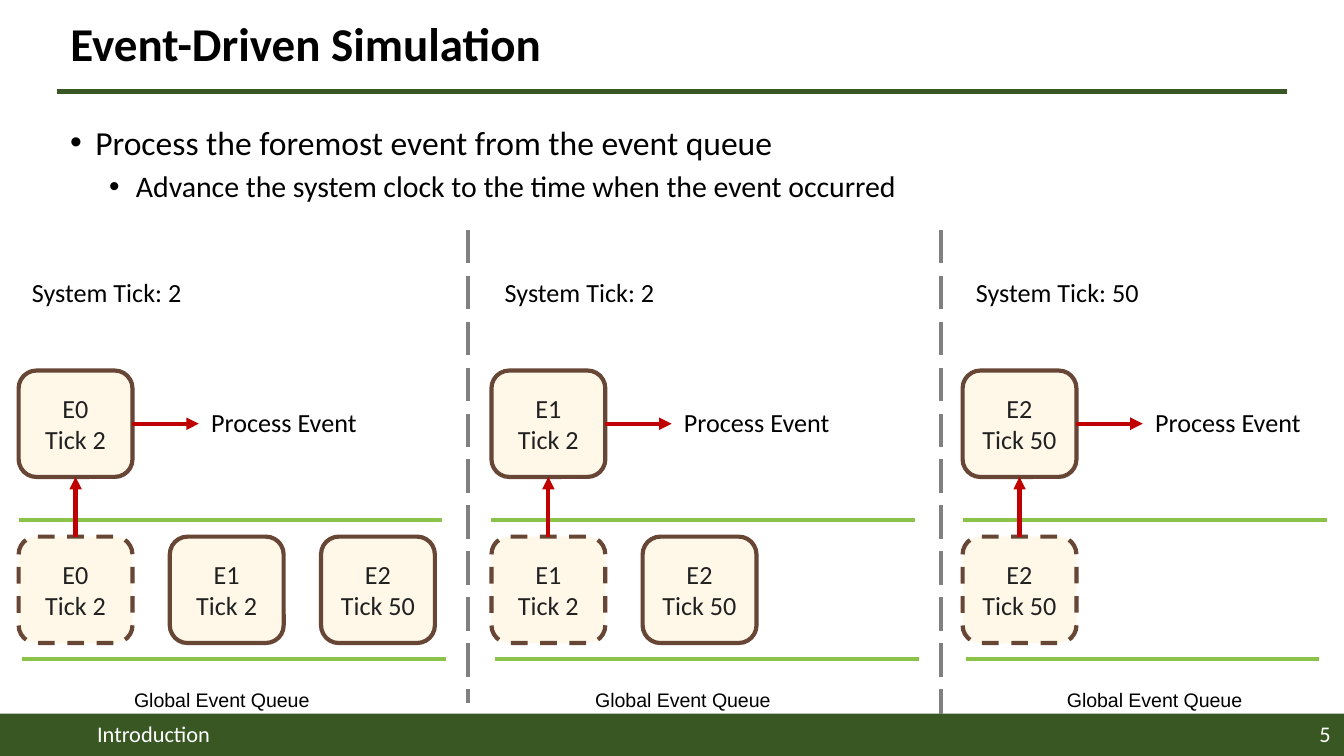
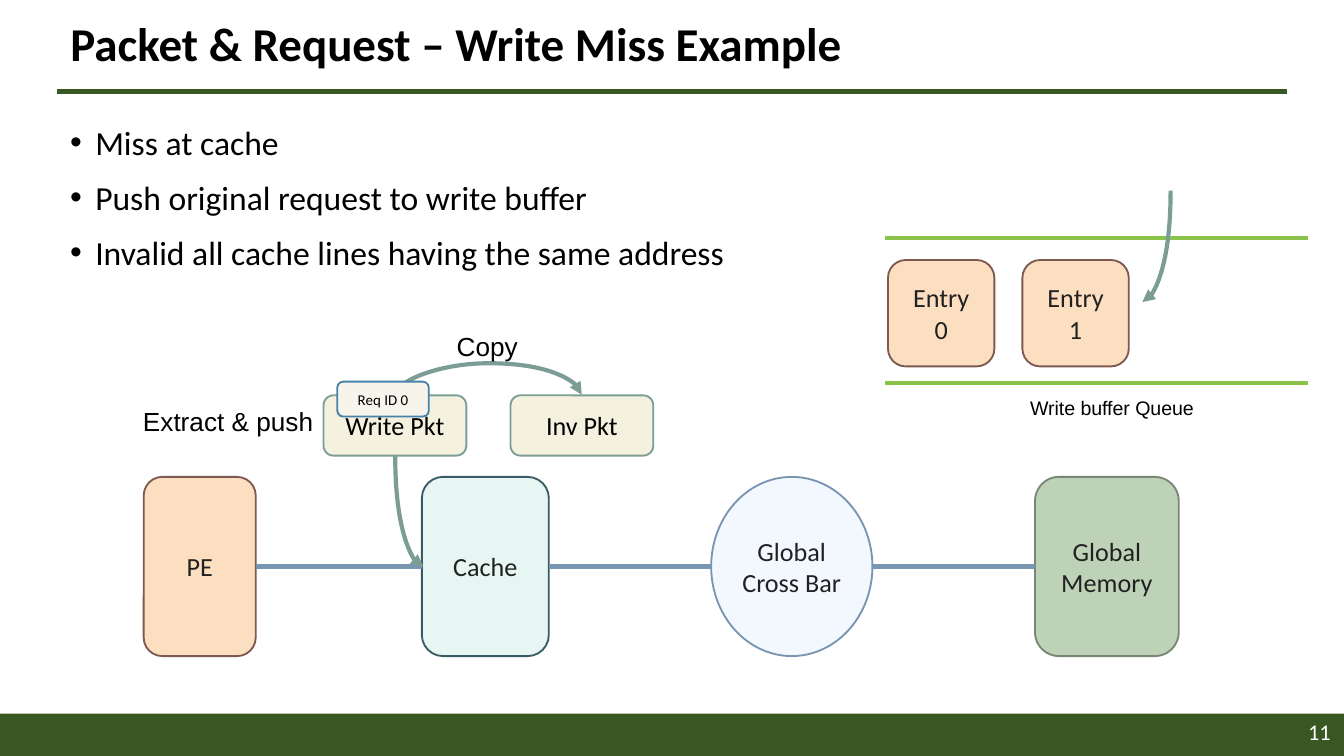
import pptx
import pptx.util
import pptx.dml.color
import pptx.enum.dml
import pptx.enum.shapes
import pptx.enum.text
import pptx.oxml
import pptx.oxml.ns

Pt = pptx.util.Pt
RGB = pptx.dml.color.RGBColor
qn = pptx.oxml.ns.qn
SHAPE = pptx.enum.shapes.MSO_SHAPE
CONN = pptx.enum.shapes.MSO_CONNECTOR
DASH = pptx.enum.dml.MSO_LINE
ALIGN = pptx.enum.text.PP_ALIGN
ANCHOR = pptx.enum.text.MSO_ANCHOR
FIT = pptx.enum.text.MSO_AUTO_SIZE
XMLNS = 'xmlns:a="http://schemas.openxmlformats.org/drawingml/2006/main"'

BLACK = RGB(0x00, 0x00, 0x00)
WHITE = RGB(0xFF, 0xFF, 0xFF)
INK = RGB(0x21, 0x21, 0x21)
FOREST = RGB(0x38, 0x57, 0x23)
LIME = RGB(0x8B, 0xC3, 0x4A)
CREAM = RGB(0xFF, 0xF8, 0xE8)
BROWN = RGB(0x67, 0x46, 0x36)
RED = RGB(0xC0, 0x00, 0x00)
GREY = RGB(0x80, 0x80, 0x80)
PEACH = RGB(0xFC, 0xDE, 0xC0)
COCOA = RGB(0x7D, 0x5A, 0x50)
MINT = RGB(0xE7, 0xF6, 0xF2)
TEAL = RGB(0x39, 0x5B, 0x64)
SAGE = RGB(0xBD, 0xD2, 0xB6)
MOSS = RGB(0x79, 0x87, 0x77)
ICE = RGB(0xF3, 0xF8, 0xFF)
STEEL = RGB(0x78, 0x95, 0xB2)
IVORY = RGB(0xF4, 0xF2, 0xDE)
JADE = RGB(0x7C, 0x9D, 0x96)
PEARL = RGB(0xF6, 0xF4, 0xEB)
BLUE = RGB(0x46, 0x82, 0xA9)


def put(slide, box, text="", kind=None, fill=None, edge=None, width=1, dash=None,
        size=14, font="Calibri", color=BLACK, align=None, anchor=ANCHOR.TOP):
    """Add a text box, or a filled shape with centred text when kind is given."""
    place = [Pt(n) for n in box]
    if kind is None:
        shape = slide.shapes.add_textbox(*place)
    else:
        shape = slide.shapes.add_shape(kind, *place)
        shape.shadow.inherit = False
        shape.fill.solid()
        shape.fill.fore_color.rgb = fill
        if edge is None:
            shape.line.fill.background()
        else:
            shape.line.color.rgb = edge
            shape.line.width = Pt(width)
            shape.line.dash_style = dash
        align, anchor = ALIGN.CENTER, ANCHOR.MIDDLE
    frame = shape.text_frame
    frame.word_wrap = True
    frame.vertical_anchor = anchor
    if kind is not None:
        frame.margin_left = frame.margin_right = Pt(3.6)
    frame.text = text
    for para in frame.paragraphs:
        para.alignment = align
        for run in para.runs:
            run.font.name, run.font.size = font, Pt(size)
            run.font.color.rgb = color
    return shape


def link(slide, ends, color, dash=None, arrow=False, kind=CONN.STRAIGHT):
    """Add a line between two points, given as x1, y1, x2, y2."""
    line = slide.shapes.add_connector(kind, *[Pt(n) for n in ends])
    line.line.color.rgb = color
    line.line.width = Pt(2.25)
    line.line.dash_style = dash
    props = line.element.spPr
    if arrow:
        props.find(qn("a:ln")).append(
            pptx.oxml.parse_xml(f'<a:tailEnd {XMLNS} type="triangle"/>'))
    props.append(pptx.oxml.parse_xml(f"<a:effectLst {XMLNS}/>"))
    return line


deck = pptx.Presentation()
deck.slide_width, deck.slide_height = Pt(720), Pt(405)
layout = deck.slide_layouts[5]

# Title, bullets (level, text) and page number of each slide
pages = [
    ("Event-Driven Simulation", 257, "5", 382.3, [
        (0, "Process the foremost event from the event queue"),
        (1, "Advance the system clock to the time when the event occurred")]),
    ("Packet & Request – Write Miss Example", 89, "11", 380.9, [
        (0, "Miss at cache"),
        (0, "Push original request to write buffer"),
        (0, "Invalid all cache lines having the same address")]),
]
LEVELS = [(13.5, -13.5, 18, 10), (35.3, -14.4, 16, 5)]  # margin, indent, size, gap

slides = []
for head, tall, page, top, points in pages:
    slide = deck.slides.add_slide(layout)
    if not slides:
        # The band and rule go on the layout, so every slide shows them
        band = put(slide, (0, 382.3, 720, 22.7), kind=SHAPE.RECTANGLE, fill=FOREST)
        rule = link(slide, (30.5, 49, 689.5, 49), FOREST)
        for part in (rule, band):
            layout.shapes.element.insert(2, part.element)
    slides.append(slide)

    title = slide.shapes.title
    title.left, title.top, title.width, title.height = Pt(30.5), Pt(7.7), Pt(659), Pt(34.5)
    frame = title.text_frame
    frame.text = head
    frame.auto_size = FIT.NONE
    frame.vertical_anchor = ANCHOR.MIDDLE
    para = frame.paragraphs[0]
    para.alignment, para.line_spacing = ALIGN.LEFT, 0.9
    font = para.runs[0].font
    font.name, font.size, font.bold = "Calibri", Pt(25.2), True
    font.color.rgb = BLACK

    body = put(slide, (30.5, 64, 659, tall), "\n".join(text for _, text in points))
    for order, (level, _) in enumerate(points):
        margin, indent, size, gap = LEVELS[level]
        para = body.text_frame.paragraphs[order]
        para.level, para.line_spacing = level, 0.9
        para.space_before = Pt(gap if order else 0)
        props = para._p.get_or_add_pPr()
        props.set("marL", str(Pt(margin)))
        props.set("indent", str(Pt(indent)))
        for mark in ('buFont {} typeface="Arial"', 'buChar {} char="•"'):
            props.append(pptx.oxml.parse_xml(f"<a:{mark.format(XMLNS)}/>"))
        para.runs[0].font.size = Pt(size)

    put(slide, (558, top, 162, 21.6), page, size=12, color=WHITE,
        align=ALIGN.RIGHT, anchor=ANCHOR.MIDDLE)

# Slide 1: three states of the event queue
slide = slides[0]
put(slide, (30.5, 382.3, 103.7, 21.6), "Introduction", size=12, color=WHITE,
    align=ALIGN.CENTER, anchor=ANCHOR.MIDDLE)
for x, low in ((250.6, 376.6), (504, 382.3)):
    link(slide, (x, 123, x, low), GREY, dash=DASH.LONG_DASH)

events = ["E0\nTick 2", "E1\nTick 2", "E2\nTick 50"]
card = dict(kind=SHAPE.ROUNDED_RECTANGLE, fill=CREAM, edge=BROWN, width=2.25, color=INK)
# Left edge, clock, rail lengths, left edge of the queue label
states = [(10, "2", 227, 227, 64.8), (263.3, "2", 227, 227, 311.8),
          (515.7, "50", 195, 189, 564.5)]
for first, (x, tick, upper, lower, label) in enumerate(states):
    link(slide, (x, 278.5, x + upper, 278.5), LIME)
    link(slide, (x + 1.8, 353, x + 1.8 + lower, 353), LIME)
    put(slide, (label, 365, 117, 20), "Global Event Queue", size=10.5, font="Arial")
    put(slide, (x, 144.5, 103, 24.2), f"System Tick: {tick}")
    put(slide, (x + 96, 214, 95, 24.2), "Process Event")
    active = put(slide, (x, 198.5, 61, 57), events[first], **card)
    queue = [put(slide, (x + 81 * slot, 287.5, 61, 57), text,
                 dash=None if slot else DASH.DASH, **card)
             for slot, text in enumerate(events[first:])]
    rise = link(slide, (x + 30.5, 287.5, x + 30.5, 255.5), RED, arrow=True)
    rise.begin_connect(queue[0], 0)
    rise.end_connect(active, 2)
    leave = link(slide, (x + 61, 227, x + 96.5, 227), RED, arrow=True)
    leave.begin_connect(active, 3)

# Slide 2: hardware chain
slide = slides[1]
ROUND = SHAPE.ROUNDED_RECTANGLE
chain = [("PE", 77, 60, ROUND, PEACH, COCOA), ("Cache", 226, 68, ROUND, MINT, TEAL),
         ("Global Cross Bar", 381, 86.4, SHAPE.OVAL, ICE, STEEL),
         ("Global Memory", 554.5, 77, ROUND, SAGE, MOSS)]
nodes = [put(slide, (x, 255.5, w, 96), text, kind, fill, edge, color=INK)
         for text, x, w, kind, fill, edge in chain]
for left, right in zip(nodes, nodes[1:]):
    wire = link(slide, (left.left.pt + left.width.pt, 303.5, right.left.pt, 303.5), STEEL)
    if left.auto_shape_type == ROUND:
        wire.begin_connect(left, 3)
    if right.auto_shape_type == ROUND:
        wire.end_connect(right, 1)

# Packets
for text, x in (("Write Pkt", 173.3), ("Inv Pkt", 273.5)):
    put(slide, (x, 211.8, 76.5, 32.3), text, ROUND, IVORY, JADE)

# Write buffer
for y in (127.7, 205):
    link(slide, (474, y, 700.5, y), LIME)
for slot in range(2):
    put(slide, (475.7 + 72 * slot, 139.3, 57, 57), f"Entry\n{slot}", ROUND, PEACH, COCOA,
        color=INK)

# Curved arrows: ends before turning, turn in degrees, preset
curves = [((262.2, 262, 261.2, 162), 90, "curvedConnector3"),
          ((249.1, 266.4, 189.4, 281.5), 270, "curvedConnector2"),
          ((589.7, 124.5, 649.4, 139.6), 90, "curvedConnector2")]
for ends, turn, preset in curves:
    curve = link(slide, ends, JADE, arrow=True, kind=CONN.CURVE)
    props = curve.element.spPr
    props.find(qn("a:xfrm")).set("rot", str(turn * 60000))
    shape = props.find(qn("a:prstGeom"))
    shape.set("prst", preset)
    if preset == "curvedConnector3":
        for old in list(shape):
            shape.remove(old)
        shape.append(pptx.oxml.parse_xml(
            f'<a:avLst {XMLNS}><a:gd name="adj1" fmla="val 1800000"/></a:avLst>'))

# Labels
put(slide, (180.7, 204.5, 49, 18.7), "Req ID 0", ROUND, PEARL, BLUE, size=8)
put(slide, (237.6, 173.5, 48.2, 24.2), "Copy", font="Arial")
put(slide, (69.5, 213.8, 110, 24.2), "Extract & push", font="Arial")
put(slide, (544.8, 208.8, 117, 20), "Write buffer Queue", size=10.5, font="Arial")

deck.save("out.pptx")
